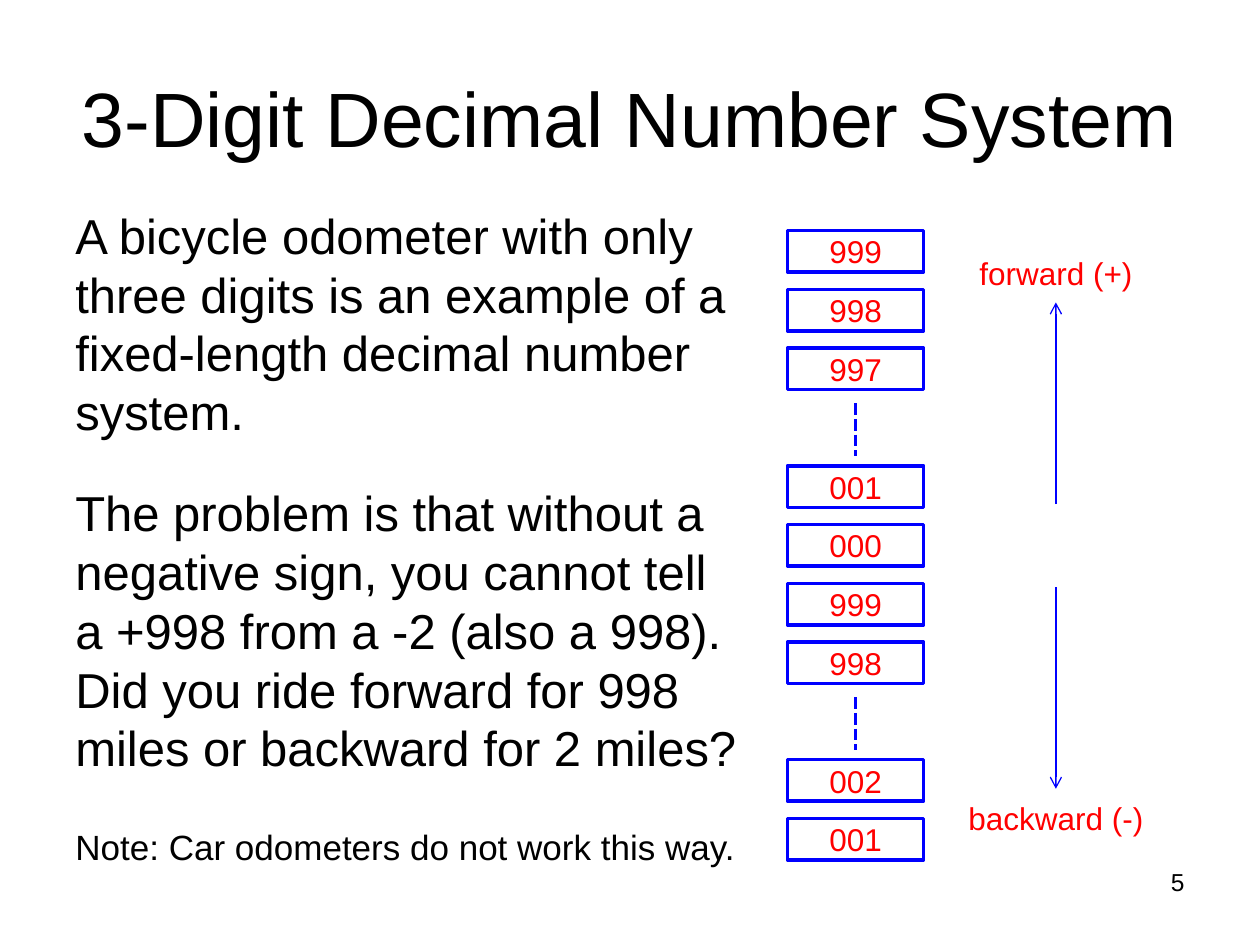
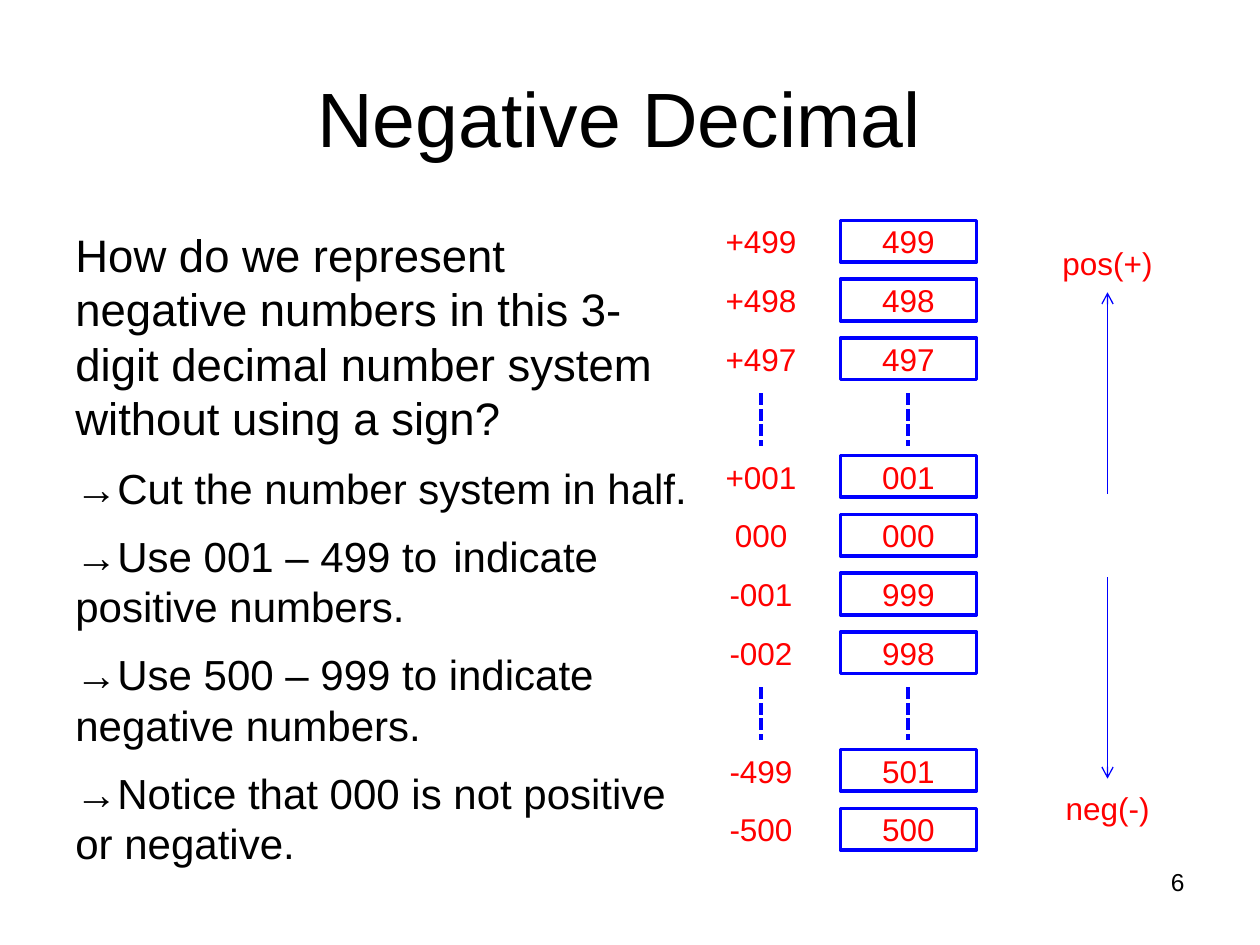
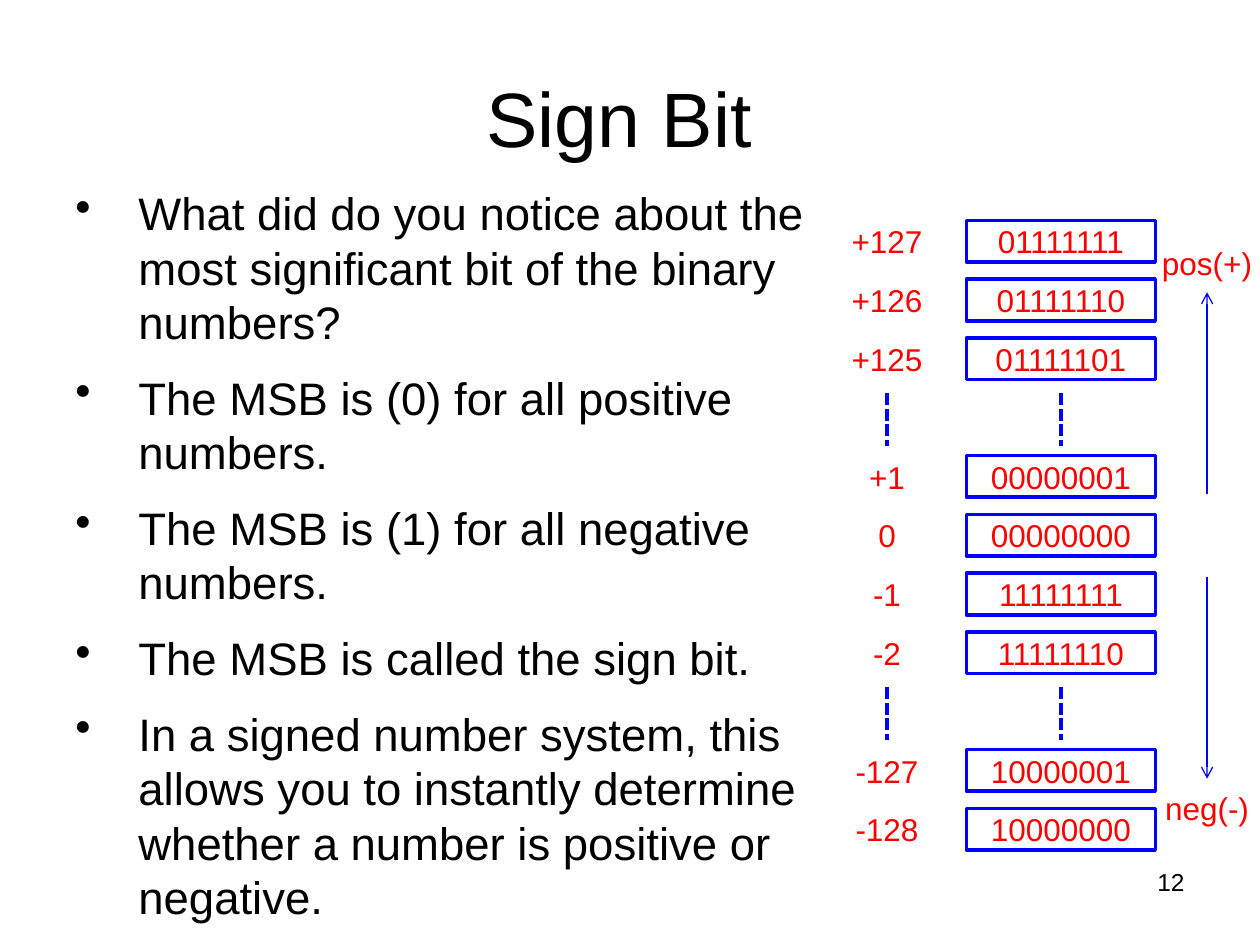
import pptx
import pptx.dml.color
import pptx.enum.dml
import pptx.enum.shapes
import pptx.enum.text
import pptx.oxml
import pptx.oxml.ns
import pptx.util

Inches = pptx.util.Inches
Pt = pptx.util.Pt
ALIGN = pptx.enum.text.PP_ALIGN
ANCHOR = pptx.enum.text.MSO_ANCHOR

COLORS = {"text": "000000", "value": "FF0000", "line": "0000FF"}
FONT = "Arial"
ROW_PITCH = 1.4 / 3
ROW_HEIGHT = 0.33
LABEL_WIDTH = 1.08
GAP_ROWS = (3, 8)
NUMBER_ROWS = (0, 1, 2, 4, 5, 6, 7, 9, 10)

# Each paragraph is (text, size, space before, space after).
PAGES = [
    {
        "title": "3-Digit Decimal Number System", "title_left": 0, "number": "5",
        "body": (0.5, 1.58, 5.5, 5.67), "bullet": False,
        "paragraphs": [
            ("A bicycle odometer with only three digits is an example of a "
             "fixed-length decimal number system.", 28, 0, 24),
            ("The problem is that without a negative sign, you cannot tell a +998 "
             "from a -2 (also a 998).  Did you ride forward for 998 miles or "
             "backward for 2 miles?", 28, 0, 24),
            ("Note: Car odometers do not work this way.", 20, 4, 0),
        ],
        "top": 1.83, "box_left": 6.25, "box_width": 1.08,
        "boxes": "999 998 997 001 000 999 998 002 001",
        "label_left": None, "labels": "",
        "arrow_x": 8.38, "directions": ("forward (+)", "backward (-)"),
        "direction_width": 1.75,
    },
    {
        "title": "Negative Decimal ", "title_left": 0.5, "number": "6",
        "body": (0.5, 1.75, 5.08, 5.25), "bullet": False,
        "paragraphs": [
            ("How do we represent  negative numbers in this 3-digit decimal "
             "number system without using a sign?", 26, 0, 10),
            ("→Cut the number system in half.", 24, 0, 10),
            ("→Use 001 – 499 to \tindicate positive numbers.", 24, 0, 10),
            ("→Use 500 – 999 to indicate negative numbers.", 24, 0, 10),
            ("→Notice that 000 is not positive or negative.", 24, 0, 10),
        ],
        "top": 1.75, "box_left": 6.67, "box_width": 1.08,
        "boxes": "499 498 497 001 000 999 998 501 500",
        "label_left": 5.5,
        "labels": "+499 +498 +497 +001 000 -001 -002 -499 -500",
        "arrow_x": 8.79, "directions": ("pos(+)", "neg(-)"),
        "direction_width": 1.75,
    },
    {
        "title": "Sign Bit ", "title_left": 0.5, "number": "12",
        "body": (0.5, 1.42, 6.08, 6.08), "bullet": True,
        "paragraphs": [(text, 26, 0, 12) for text in (
            "What did do you notice about the most significant bit of the binary numbers?",
            "The MSB is (0) for all positive numbers.",
            "The MSB is (1) for all negative numbers.",
            "The MSB is called the sign bit.",
            "In a signed number system, this allows you to instantly determine "
            "whether a number is positive or negative.",
        )],
        "top": 1.75, "box_left": 7.67, "box_width": 1.5,
        "boxes": "01111111 01111110 01111101 00000001 00000000 "
                 "11111111 11111110 10000001 10000000",
        "label_left": 6.5, "labels": "+127 +126 +125 +1 0 -1 -2 -127 -128",
        "arrow_x": 9.58, "directions": ("pos(+)", "neg(-)"),
        "direction_width": 1,
    },
]


def add_text(page, place, paragraphs, color="text", align=ALIGN.CENTER,
             anchor=ANCHOR.MIDDLE, bullet=False, outlined=False):
    """Add a text box, or an outlined rectangle, holding the paragraphs."""
    place = [Inches(length) for length in place]
    if outlined:
        box = page.shapes.add_shape(pptx.enum.shapes.MSO_SHAPE.RECTANGLE, *place)
        box.shadow.inherit = False
        box.fill.background()
        box.line.color.rgb = pptx.dml.color.RGBColor.from_string(COLORS["line"])
        box.line.width = Pt(2)
    else:
        box = page.shapes.add_textbox(*place)
    frame = box.text_frame
    frame.word_wrap = True
    frame.vertical_anchor = anchor
    for index, (text, size, before, after) in enumerate(paragraphs):
        para = frame.add_paragraph() if index else frame.paragraphs[0]
        para.alignment = align
        para.space_before = Pt(before)
        para.space_after = Pt(after)
        if bullet:
            properties = para._p.get_or_add_pPr()
            properties.set("marL", str(Inches(0.5)))
            properties.set("indent", str(-Inches(0.5)))
            mark = pptx.oxml.parse_xml(
                f'<a:buChar {pptx.oxml.ns.nsdecls("a")} char="•"/>')
            properties.append(mark)
        span = para.add_run()
        span.text = text
        span.font.name = FONT
        span.font.size = Pt(size)
        span.font.color.rgb = pptx.dml.color.RGBColor.from_string(COLORS[color])


def add_vertical(page, x, start, end, width, arrow=False):
    """Add a vertical line: a thin arrow, or a dashed continuation mark."""
    line = page.shapes.add_connector(
        pptx.enum.shapes.MSO_CONNECTOR.STRAIGHT,
        Inches(x), Inches(start), Inches(x), Inches(end))
    line.line.color.rgb = pptx.dml.color.RGBColor.from_string(COLORS["line"])
    line.line.width = Pt(width)
    namespace = pptx.oxml.ns.nsdecls("a")
    if arrow:
        line.line._get_or_add_ln().append(
            pptx.oxml.parse_xml(f'<a:tailEnd {namespace} type="arrow"/>'))
    else:
        line.line.dash_style = pptx.enum.dml.MSO_LINE.SQUARE_DOT
    line._element.spPr.append(pptx.oxml.parse_xml(f"<a:effectLst {namespace}/>"))


deck = pptx.Presentation()
deck.slide_width = Inches(10)
deck.slide_height = Inches(7.5)

for content in PAGES:
    page = deck.slides.add_slide(deck.slide_layouts[6])
    title_left = content["title_left"]
    add_text(page, (title_left, 0.3, 10 - 2 * title_left, 1.25),
             [(content["title"], 44, 0, 0)])
    add_text(page, content["body"], content["paragraphs"], align=ALIGN.LEFT,
             anchor=ANCHOR.TOP, bullet=content["bullet"])
    add_text(page, (7.17, 6.83, 2.33, 0.52), [(content["number"], 14, 0, 0)],
             align=ALIGN.RIGHT, anchor=ANCHOR.TOP)

    # Number ladder: boxed values, with signed labels beside them where given
    top = content["top"]
    columns = [(content["box_left"], content["box_width"], content["boxes"], True)]
    if content["labels"]:
        columns.append((content["label_left"], LABEL_WIDTH, content["labels"], False))
    for left, width, values, outlined in columns:
        for row, value in zip(NUMBER_ROWS, values.split()):
            add_text(page, (left, top + row * ROW_PITCH, width, ROW_HEIGHT),
                     [(value, 18, 0, 0)], "value", outlined=outlined)
        for row in GAP_ROWS:
            gap_top = top + row * ROW_PITCH - 0.03
            add_vertical(page, left + width / 2, gap_top, gap_top + 0.42, 2.25)

    # Counting directions
    arrow_x = content["arrow_x"]
    direction_width = content["direction_width"]
    offsets = ((2.17, 0.57, 0.17), (2.83, 4.43, 4.5))
    for name, (start, end, label_top) in zip(content["directions"], offsets):
        add_vertical(page, arrow_x, top + start, top + end, 0.75, arrow=True)
        add_text(page, (arrow_x - direction_width / 2, top + label_top,
                        direction_width, ROW_HEIGHT), [(name, 18, 0, 0)], "value")

deck.save("out.pptx")
